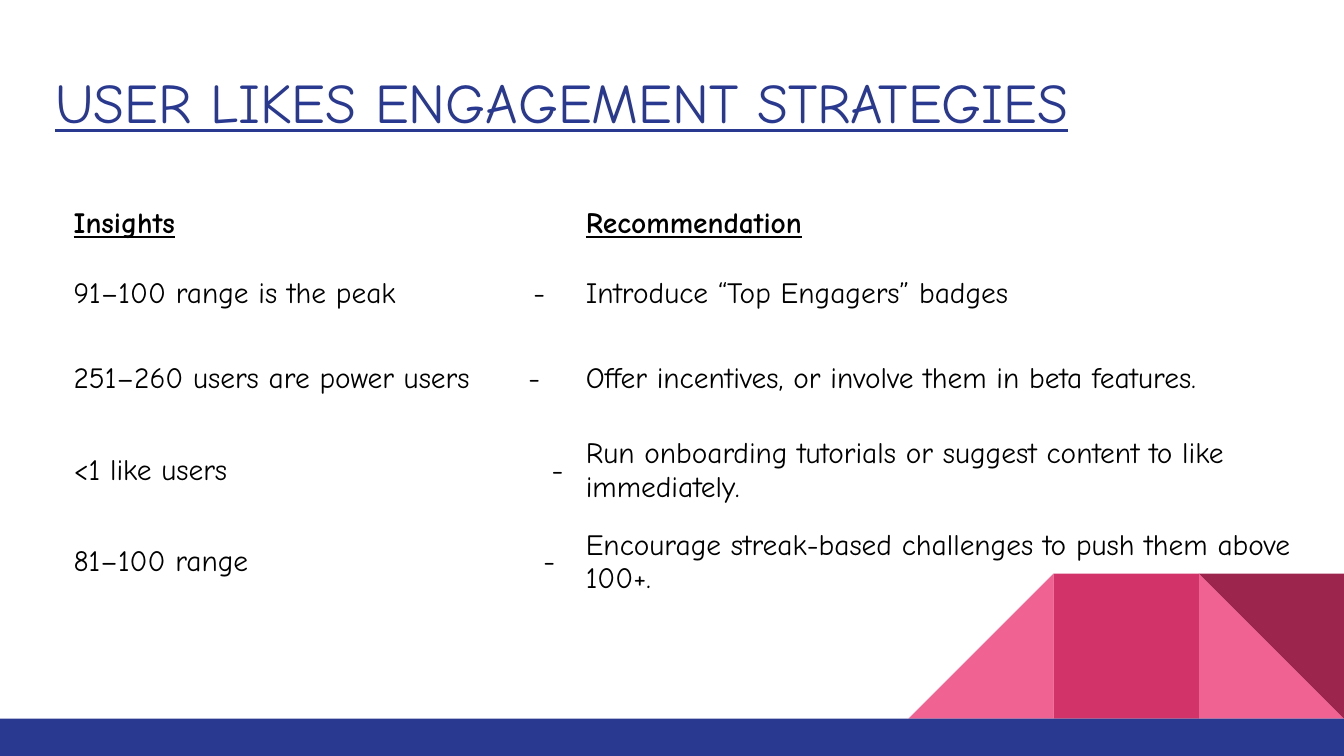
from lxml import etree
from pptx import Presentation
from pptx.dml.color import RGBColor
from pptx.enum.shapes import MSO_SHAPE as Shape
from pptx.enum.text import MSO_ANCHOR as Anchor
from pptx.oxml.ns import qn
from pptx.util import Inches, Pt

WIDTH, HEIGHT = 13.33, 7.5
FONT = "Comic Neue"
BLUE, BLACK = "2A3990", "000000"
PINK, ROSE, WINE = "F06292", "D23369", "9C254D"
NO_GRID_STYLE = "{2D5ABB26-0587-4C30-8999-92F81FD0307C}"

HEADINGS = ("Insights", "Recommendation")
# Insight, distance of its dash from the text edge, recommendation
STRATEGIES = [
    ("91–100 range is the peak", 4.56, "Introduce “Top Engagers” badges"),
    ("251–260 users are power users", 4.51,
     "Offer incentives, or involve them in beta features."),
    ("<1 like users", 4.74,
     "Run onboarding tutorials or suggest content to like immediately."),
    ("81–100 range", 4.66,
     "Encourage streak-based challenges to push them above 100+."),
]
COLUMN_WIDTHS = (5.08, 7.34)
ROW_HEIGHTS = (0.56, 0.84, 0.84, 0.98, 0.84)


def color(hex_string):
    return RGBColor.from_string(hex_string)


def add_run(paragraph, text, size, hex_color, bold=False, underline=False):
    run = paragraph.add_run()
    run.text = text
    font = run.font
    font.name, font.size = FONT, Pt(size)
    font.bold, font.underline = bold, underline
    font.color.rgb = color(hex_color)


def add_block(slide, kind, box, fill):
    shape = slide.shapes.add_shape(kind, *map(Inches, box))
    shape.shadow.inherit = False
    shape.fill.solid()
    shape.fill.fore_color.rgb = color(fill)
    shape.line.fill.background()
    return shape


def add_tab_stop(paragraph, position):
    tab_list = etree.SubElement(paragraph._p.get_or_add_pPr(), qn("a:tabLst"))
    etree.SubElement(tab_list, qn("a:tab"), pos=str(Inches(position)), algn="l")


# Footer bar with the corner ornament standing on it
def add_footer(slide, left, top, width, height):
    side = 1.44
    ornament_top = top - side
    columns = [left + width - side * count for count in (3, 2, 1)]

    def tile(column, kind, fill):
        return add_block(slide, kind, (columns[column], ornament_top, side, side), fill)

    tile(2, Shape.RIGHT_TRIANGLE, PINK)
    mirrored = tile(0, Shape.RIGHT_TRIANGLE, PINK)
    mirrored._element.spPr.find(qn("a:xfrm")).set("flipH", "1")
    tile(1, Shape.RECTANGLE, ROSE)
    tile(2, Shape.RIGHT_TRIANGLE, WINE).rotation = 180
    add_block(slide, Shape.RECTANGLE, (left, top, width, height), BLUE)


# Underlined slide title
def add_title(slide, left, top, width, height):
    frame = slide.shapes.add_textbox(*map(Inches, (left, top, width, height))).text_frame
    frame.word_wrap = True
    frame.vertical_anchor = Anchor.MIDDLE
    paragraph = frame.paragraphs[0]
    paragraph.line_spacing = 0.9
    add_run(paragraph, "USER LIKES ENGAGEMENT STRATEGIES", 40, BLUE, underline=True)


# Borderless table of insights and recommendations
def add_strategy_table(slide, left, top):
    rows = [HEADINGS] + [(f"{insight}\t-", advice) for insight, _, advice in STRATEGIES]
    box = (left, top, sum(COLUMN_WIDTHS), sum(ROW_HEIGHTS))
    table = slide.shapes.add_table(
        len(rows), len(HEADINGS), *map(Inches, box)).table
    table.first_row = table.horz_banding = False
    table._tbl.tblPr.find(qn("a:tableStyleId")).text = NO_GRID_STYLE
    for column, width in zip(table.columns, COLUMN_WIDTHS):
        column.width = Inches(width)
    for row, height in zip(table.rows, ROW_HEIGHTS):
        row.height = Inches(height)

    for row_index, texts in enumerate(rows):
        heading = row_index == 0
        for column_index, text in enumerate(texts):
            cell = table.cell(row_index, column_index)
            cell.fill.background()
            cell.vertical_anchor = Anchor.MIDDLE
            add_run(cell.text_frame.paragraphs[0], text, 21, BLACK, heading, heading)
    for row_index, (_, dash_offset, _) in enumerate(STRATEGIES, start=1):
        add_tab_stop(table.cell(row_index, 0).text_frame.paragraphs[0], dash_offset)


def main():
    presentation = Presentation()
    presentation.slide_width = Inches(WIDTH)
    presentation.slide_height = Inches(HEIGHT)
    slide = presentation.slides.add_slide(presentation.slide_layouts[6])
    bar_height = 0.37
    add_footer(slide, 0, HEIGHT - bar_height, WIDTH, bar_height)
    add_title(slide, 0.45, 0.6, 12.42, 0.89)
    add_strategy_table(slide, 0.63, 1.94)
    presentation.save("out.pptx")


if __name__ == "__main__":
    main()
